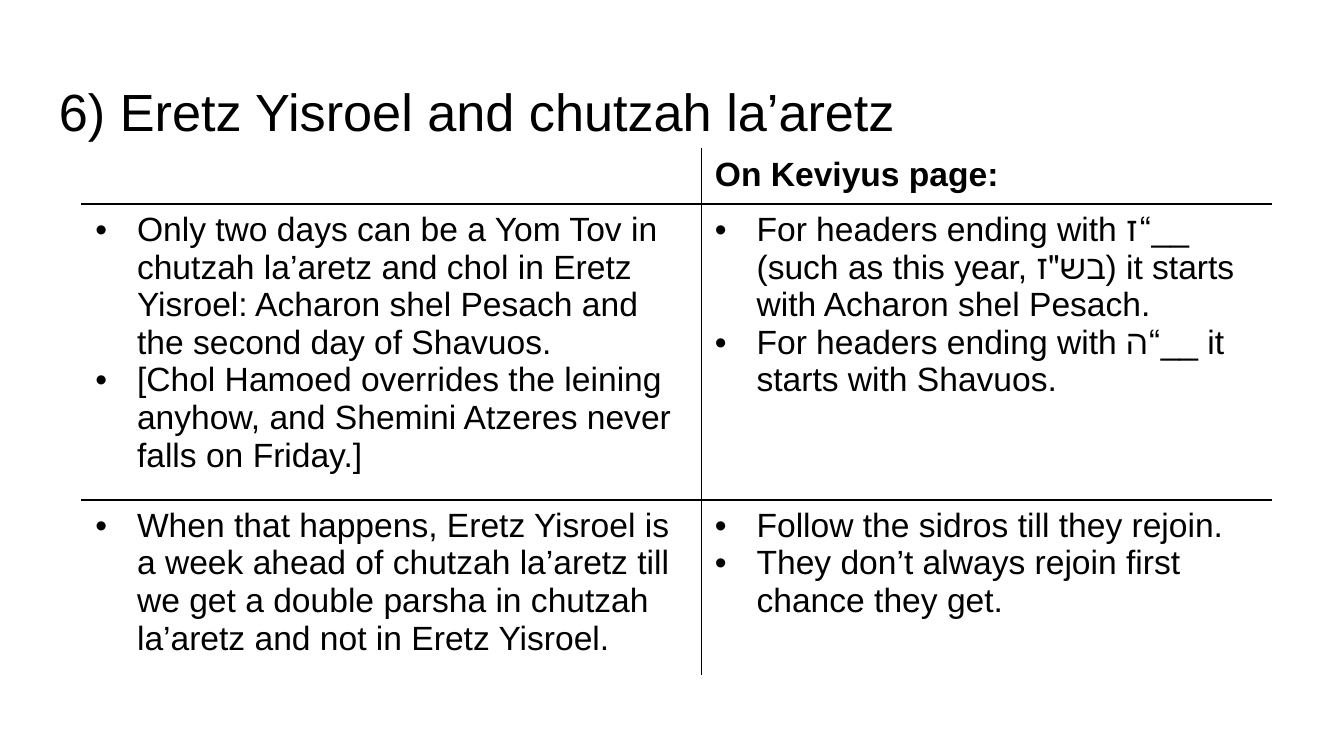
"""Build a slide with a titled two-column comparison table."""
from typing import NamedTuple

from lxml import etree
from pptx import Presentation
from pptx.dml.color import RGBColor
from pptx.oxml.ns import qn
from pptx.util import Inches, Pt

BLACK = RGBColor(0, 0, 0)
WHITE = RGBColor(255, 255, 255)
FONT = "Arial"
PLAIN_TABLE_STYLE = "{2D5ABB26-0587-4C30-8999-92F81FD0307C}"
COLUMN_WIDTHS = (4.61, 4.24)
ROW_HEIGHT = Inches(0.41)
TABLE_HEIGHT = Inches(3.91)
BULLET_INDENT = Inches(0.31)


class Entry(NamedTuple):
    paragraphs: tuple[str, ...]
    header: bool = False


ROWS = (
    (Entry(("",), True), Entry(("On Keviyus page:",), True)),
    (
        Entry((
            "Only two days can be a Yom Tov in chutzah la’aretz and chol in Eretz "
            "Yisroel: Acharon shel Pesach and the second day of Shavuos.",
            "[Chol Hamoed overrides the leining anyhow, and Shemini Atzeres never "
            "falls on Friday.]",
        )),
        Entry((
            'For headers ending with ז“__ (such as this year, בש"ז) it starts '
            "with Acharon shel Pesach.",
            "For headers ending with ה“__ it starts with Shavuos.",
        )),
    ),
    (
        Entry((
            "When that happens, Eretz Yisroel is a week ahead of chutzah la’aretz till "
            "we get a double parsha in chutzah la’aretz and not in Eretz Yisroel.",
        )),
        Entry((
            "Follow the sidros till they rejoin.",
            "They don’t always rejoin first chance they get.",
        )),
    ),
)


def style_font(font, size: int, bold: bool = False) -> None:
    for name, value in {"name": FONT, "size": Pt(size), "bold": bold}.items():
        setattr(font, name, value)
    font.color.rgb = BLACK


def add_bullet(para) -> None:
    properties = para._p.get_or_add_pPr()
    properties.set("marL", str(BULLET_INDENT))
    properties.set("indent", str(-BULLET_INDENT))
    color = etree.SubElement(properties, qn("a:buClr"))
    etree.SubElement(color, qn("a:srgbClr"), val=str(BLACK))
    etree.SubElement(properties, qn("a:buFont"), typeface=FONT)
    etree.SubElement(properties, qn("a:buChar"), char="•")


def set_borders(cell, colors: dict[str, RGBColor]) -> None:
    properties = cell._tc.get_or_add_tcPr()
    for position, (side, color) in enumerate(colors.items()):
        line = etree.Element(qn(f"a:{side}"), w=str(Pt(1)))
        fill = etree.SubElement(line, qn("a:solidFill"))
        etree.SubElement(fill, qn("a:srgbClr"), val=str(color))
        properties.insert(position, line)


def fill_cell(cell, entry: Entry) -> None:
    frame = cell.text_frame
    frame.text = "\n".join(entry.paragraphs)
    for para in frame.paragraphs:
        if not entry.header:
            add_bullet(para)
        style_font(para.font, 18, entry.header)
        for span in para.runs:
            style_font(span.font, 18, entry.header)


def border_colors(row_index: int, column_index: int) -> dict[str, RGBColor]:
    colors = {
        "lnL": BLACK if column_index == 1 else WHITE,
        "lnR": BLACK if column_index == 0 else WHITE,
    }
    if row_index == 0:
        colors |= {"lnT": WHITE, "lnB": BLACK}
    elif row_index == 1:
        colors["lnT"] = BLACK
    return colors


def add_title(page, text: str) -> None:
    box = page.shapes.add_textbox(Inches(0.34), Inches(0.49), Inches(9.32), Inches(0.63))
    frame = box.text_frame
    frame.word_wrap = True
    for side in ("left", "top", "right", "bottom"):
        setattr(frame, f"margin_{side}", Inches(0.1))
    span = frame.paragraphs[0].add_run()
    span.text = text
    style_font(span.font, 28)


def add_comparison(page) -> None:
    holder = page.shapes.add_table(
        len(ROWS), len(COLUMN_WIDTHS), Inches(0.61), Inches(1.11),
        Inches(sum(COLUMN_WIDTHS)), TABLE_HEIGHT,
    )
    table = holder.table
    table.first_row = table.horz_banding = False
    table._tbl.tblPr.find(qn("a:tableStyleId")).text = PLAIN_TABLE_STYLE
    for column, width in zip(table.columns, COLUMN_WIDTHS):
        column.width = Inches(width)
    for row_index, row in enumerate(table.rows):
        row.height = ROW_HEIGHT
        for column_index, cell in enumerate(row.cells):
            fill_cell(cell, ROWS[row_index][column_index])
            cell.fill.background()
            set_borders(cell, border_colors(row_index, column_index))
    holder.height = TABLE_HEIGHT


def main() -> None:
    deck = Presentation()
    deck.slide_width = Inches(10)
    deck.slide_height = deck.slide_width * 9 // 16
    page = deck.slides.add_slide(deck.slide_layouts[6])
    add_title(page, "6) Eretz Yisroel and chutzah la’aretz")
    add_comparison(page)
    deck.save("out.pptx")


if __name__ == "__main__":
    main()
